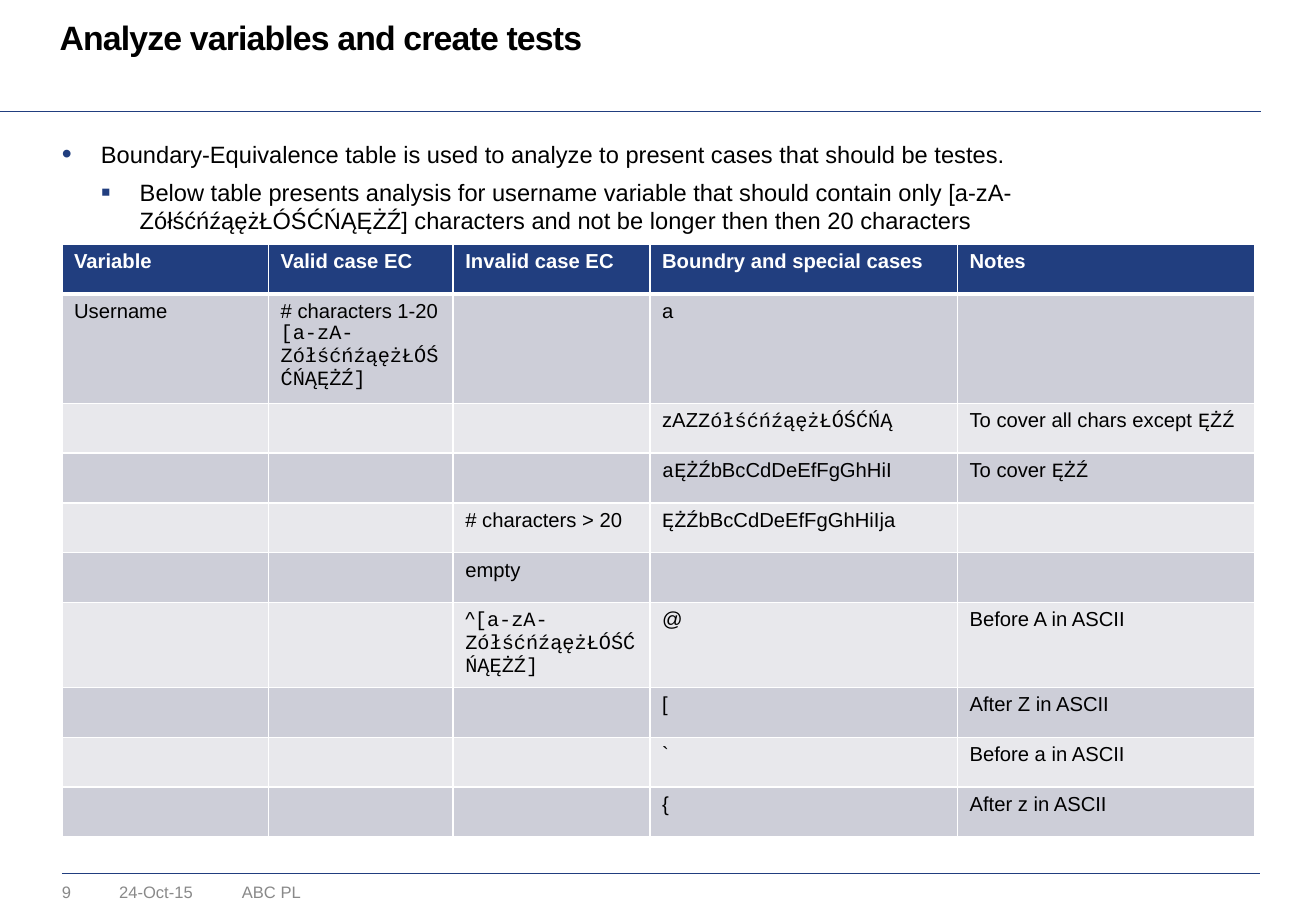
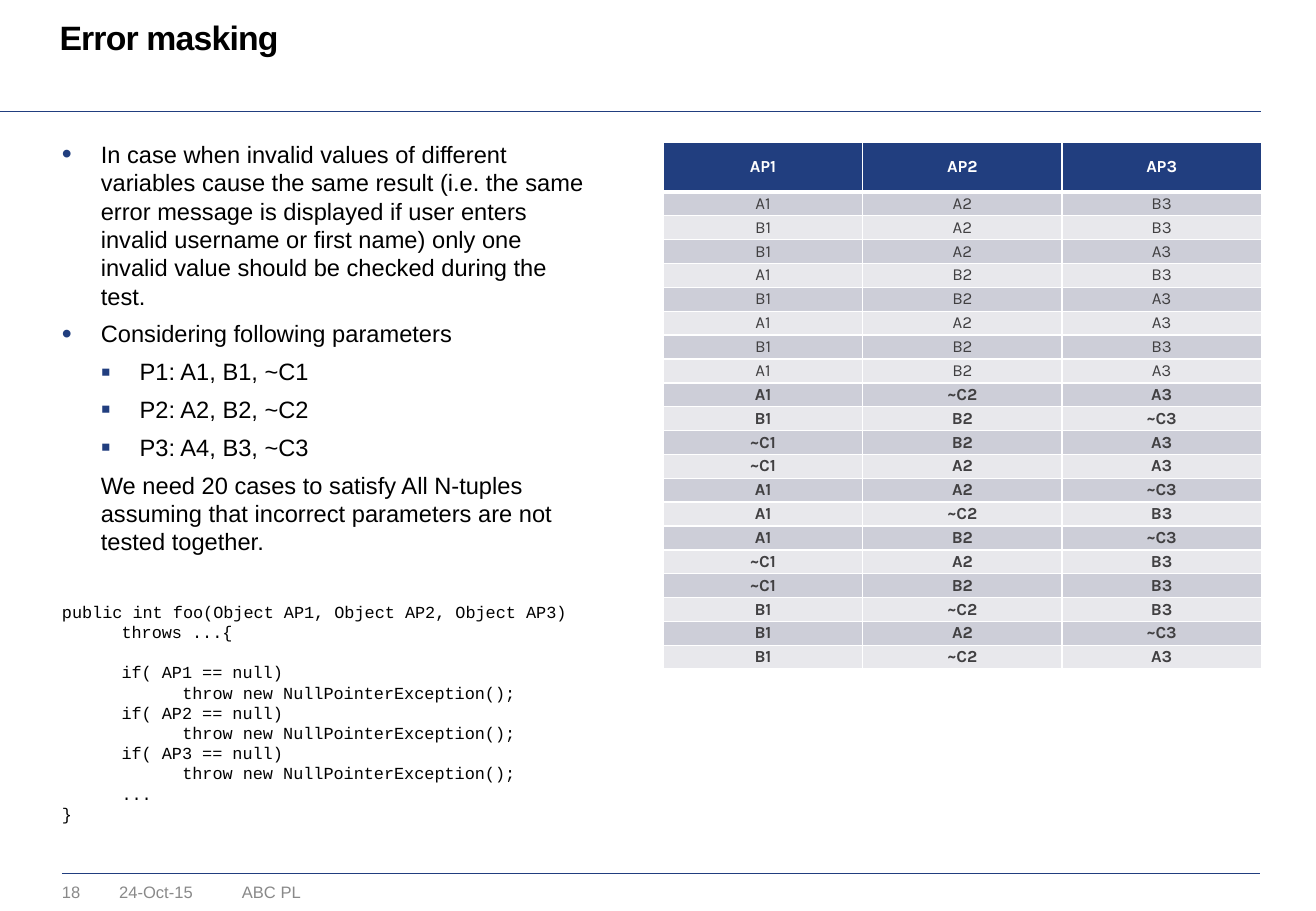
"""Build two slides on test case tables with a shared title, rules and footer."""
import dataclasses

import pptx
import pptx.dml.color
import pptx.enum.shapes
import pptx.enum.text
import pptx.oxml
import pptx.oxml.ns
import pptx.util

Inches = pptx.util.Inches
Pt = pptx.util.Pt
qn = pptx.oxml.ns.qn
NAMESPACE = pptx.oxml.ns.nsdecls("a")


@dataclasses.dataclass(frozen=True)
class Theme:
    navy: str = "213E7F"
    black: str = "000000"
    white: str = "FFFFFF"
    charcoal: str = "414042"
    grey: str = "898989"
    bands: tuple = ("CDCED8", "E8E8EC")
    sans: str = "Arial"
    mono: str = "Courier New"
    grid: str = "Karla"
    title_size: float = 20
    body_size: float = 14
    table_size: float = 12
    small_size: float = 10
    footer_size: float = 9.8


THEME = Theme()
LEFT = 0.51
INDENT = 0.32
BULLETS = ("•", "▪")
HEADER_HEIGHT = 0.41
LETTERS = "[a-zA-ZółśćńźąężŁÓŚĆŃĄĘŻŹ]"

USERNAME_COLUMNS = (1.7, 1.52, 1.62, 2.53, 2.45)
USERNAME_ROWS = (
    ("Variable", "Valid case EC", "Invalid case EC", "Boundry and special cases", "Notes"),
    ("Username", f"# characters 1-20\n|{LETTERS}", "", "a", ""),
    ("", "", "", "zAZ|ZółśćńźąężŁÓŚĆŃĄ", "To cover all chars except |ĘŻŹ"),
    ("", "", "", "|aĘŻŹ|bBcCdDeEfFgGhHiI", "To cover |ĘŻŹ"),
    ("", "", "# characters > 20", "|ĘŻŹ|bBcCdDeEfFgGhHiIja", ""),
    ("", "", "empty", "", ""),
    ("", "", f"^|{LETTERS}", "@", "Before A in ASCII"),
    ("", "", "", "[", "After Z in ASCII"),
    ("", "", "", "`", "Before a in ASCII"),
    ("", "", "", "{", "After z in ASCII"),
)
VALID_CASES = "A1 A2 B3,B1 A2 B3,B1 A2 A3,A1 B2 B3,B1 B2 A3,A1 A2 A3,B1 B2 B3,A1 B2 A3"
INVALID_CASES = (
    "A1 ~C2 A3,B1 B2 ~C3,~C1 B2 A3,~C1 A2 A3,A1 A2 ~C3,A1 ~C2 B3,"
    "A1 B2 ~C3,~C1 A2 B3,~C1 B2 B3,B1 ~C2 B3,B1 A2 ~C3,B1 ~C2 A3"
)
CODE = (
    "public int foo(Object AP1, Object AP2, Object AP3)",
    "\tthrows ...{",
    "\tif( AP1 == null)",
    "\t\tthrow new NullPointerException();",
    "\tif( AP2 == null)",
    "\t\tthrow new NullPointerException();",
    "\tif( AP3 == null)",
    "\t\tthrow new NullPointerException();",
    "\t...",
    "}",
)


def set_font(font, size, color, name=THEME.sans, bold=False):
    """Apply size, colour, typeface and weight to a font."""
    font.size = Pt(size)
    font.name = name
    font.bold = bold
    font.color.rgb = pptx.dml.color.RGBColor.from_string(color)


def append_xml(parent, *fragments):
    """Append drawing elements to a parent element."""
    for fragment in fragments:
        tag, rest = fragment[1:].split(" ", 1)
        parent.append(pptx.oxml.parse_xml(f"<{tag} {NAMESPACE} {rest}"))


def add_text_frame(page, left, top, width, height):
    """Add a wrapping text box without insets and return its frame."""
    frame = page.shapes.add_textbox(*map(Inches, (left, top, width, height))).text_frame
    frame.word_wrap = True
    frame.margin_left = frame.margin_right = frame.margin_top = frame.margin_bottom = 0
    return frame


def add_paragraphs(frame, texts):
    """Yield one paragraph for each text, reusing the first one."""
    for index, text in enumerate(texts):
        para = frame.add_paragraph() if index else frame.paragraphs[0]
        para.text = text
        yield para


def add_rule(page, start, end, height):
    """Add a thin horizontal line."""
    rule = page.shapes.add_connector(
        pptx.enum.shapes.MSO_CONNECTOR.STRAIGHT,
        *map(Inches, (start, height, end, height)),
    )
    rule.line.color.rgb = pptx.dml.color.RGBColor.from_string(THEME.navy)
    rule.line.width = Pt(0.25)
    append_xml(rule._element.spPr, "<a:effectLst />")


def add_page(deck, title, number):
    """Add a blank page with the shared title, rules and footer."""
    page = deck.slides.add_slide(deck.slide_layouts[6])
    add_rule(page, LEFT, 10.37, 7.19)
    add_rule(page, -0.01, 10.38, 0.92)
    for text, left, width in (("ABC PL", 1.99, 1.41), (number, LEFT, 0.39), ("24-Oct-15", 0.98, 0.89)):
        para = add_text_frame(page, left, 7.26, width, 0.17).paragraphs[0]
        para.text = text
        set_font(para.font, THEME.footer_size, THEME.grey)
    heading = add_text_frame(page, 0.49, 0.17, 9.93, 0.31).paragraphs[0]
    heading.text = title
    heading.line_spacing = Pt(21.7)
    set_font(heading.font, THEME.title_size, THEME.black, bold=True)
    heading._p.pPr.find(qn("a:defRPr")).set("spc", "-50")
    return page


def add_body(page, width, items):
    """Add body text from (level, text) pairs, where level None has no bullet."""
    frame = add_text_frame(page, LEFT, 1.15, width, 5.88)
    paras = add_paragraphs(frame, [text for _, text in items])
    for para, (level, _) in zip(paras, items):
        properties = para._p.get_or_add_pPr()
        properties.set("marL", str(Inches(INDENT * ((level or 0) + 1))))
        if level is not None:
            properties.set("indent", str(Inches(-INDENT)))
            append_xml(
                properties,
                f'<a:buClr ><a:srgbClr val="{THEME.navy}"/></a:buClr>',
                '<a:buSzPct val="120000"/>',
                f'<a:buFont typeface="{THEME.sans}"/>',
                f'<a:buChar char="{BULLETS[level]}"/>',
            )
        para.line_spacing = Pt(1.2 * THEME.body_size)
        para.space_before = para.space_after = Pt(0.2 * THEME.body_size)
        set_font(para.font, THEME.body_size, THEME.black)


def add_code(page, lines):
    """Add a code listing with tab stops and a gap after the signature."""
    frame = add_text_frame(page, LEFT, 4.95, 5.51, 1.85)
    stops = "".join(f'<a:tab pos="{Inches(stop)}" algn="l"/>' for stop in (0.49, 0.99))
    pitch = Pt(1.2 * THEME.small_size)
    for index, para in enumerate(add_paragraphs(frame, lines)):
        append_xml(para._p.get_or_add_pPr(), f"<a:tabLst >{stops}</a:tabLst>")
        para.line_spacing = pitch
        para.space_before = pitch if index == 2 else 0
        set_font(para.font, THEME.small_size, THEME.black, THEME.mono)


def style_cell(cell, row):
    """Give a cell white borders and its header or band fill."""
    weights = {"L": 1, "R": 1, "T": 3 if row == 1 else 1, "B": 1 if row else 3}
    for side, weight in weights.items():
        append_xml(
            cell._tc.get_or_add_tcPr(),
            f'<a:ln{side} w="{Pt(weight)}"><a:solidFill>'
            f'<a:srgbClr val="{THEME.white}"/></a:solidFill></a:ln{side}>',
        )
    color = THEME.bands[(row - 1) % 2] if row else THEME.navy
    cell.fill.solid()
    cell.fill.fore_color.rgb = pptx.dml.color.RGBColor.from_string(color)


def add_grid(page, left, top, columns, heights, rows):
    """Add a banded table and yield each cell with its row number and text."""
    size = (sum(columns), sum(heights))
    table = page.shapes.add_table(
        len(rows), len(columns), *map(Inches, (left, top, *size))
    ).table
    table.first_row = table.horz_banding = False
    for column, width in zip(table.columns, columns):
        column.width = Inches(width)
    for line, height in zip(table.rows, heights):
        line.height = Inches(height)
    for row, texts in enumerate(rows):
        for column, text in enumerate(texts):
            cell = table.cell(row, column)
            style_cell(cell, row)
            yield cell, row, text


def add_username_table(page):
    """Add the boundary table, where each bar switches to or from code type."""
    heights = [HEADER_HEIGHT] * len(USERNAME_ROWS)
    for cell, row, text in add_grid(page, LEFT, 2.01, USERNAME_COLUMNS, heights, USERNAME_ROWS):
        lines = text.split("\n")
        for para, line in zip(add_paragraphs(cell.text_frame, [""] * len(lines)), lines):
            set_font(para.font, THEME.table_size, THEME.black if row else THEME.white, bold=not row)
            for index, part in enumerate(line.split("|")):
                if part:
                    span = para.add_run()
                    span.text = part
                    if index % 2:
                        span.font.name = THEME.mono


def add_case_table(page):
    """Add the centred table of parameter cases, with invalid cases in bold."""
    valid, invalid = ([case.split() for case in cases.split(",")] for cases in (VALID_CASES, INVALID_CASES))
    rows = [["AP1", "AP2", "AP3"], *valid, *invalid]
    count = len(rows) - 1
    heights = [HEADER_HEIGHT] + [(4.34 - HEADER_HEIGHT) / count] * count
    for cell, row, text in add_grid(page, 5.46, 1.17, [1.64] * 3, heights, rows):
        cell.margin_left = cell.margin_right = cell.margin_top = cell.margin_bottom = 0
        cell.vertical_anchor = pptx.enum.text.MSO_ANCHOR.MIDDLE
        para = cell.text_frame.paragraphs[0]
        para.text = text
        para.alignment = pptx.enum.text.PP_ALIGN.CENTER
        color = THEME.charcoal if row else THEME.white
        bold = row == 0 or row > len(valid)
        set_font(para.font, THEME.small_size, color, THEME.grid, bold)


def main():
    """Build both pages and save the deck."""
    deck = pptx.Presentation()
    deck.slide_width, deck.slide_height = Inches(10.83), Inches(7.5)

    page = add_page(deck, "Analyze variables and create tests", "9")
    add_body(page, 9.92, (
        (0, "Boundary-Equivalence table is used to analyze to present cases that should be testes."),
        (1, f"Below table presents analysis for username variable that should contain only {LETTERS} "
            "characters and not be longer then then 20 characters"),
    ))
    add_username_table(page)

    page = add_page(deck, "Error masking", "18")
    add_body(page, 4.36, (
        (0, "In case when invalid values of different variables cause the same result (i.e. the same "
            "error message is displayed if user enters invalid username or first name) only one "
            "invalid value should be checked during the test."),
        (0, "Considering following parameters"),
        (1, "P1: A1, B1, ~C1"),
        (1, "P2: A2, B2, ~C2"),
        (1, "P3: A4, B3, ~C3"),
        (None, "We need 20 cases to satisfy All N-tuples assuming that incorrect parameters are not "
               "tested together."),
    ))
    add_case_table(page)
    add_code(page, CODE)
    deck.save("out.pptx")


if __name__ == "__main__":
    main()
